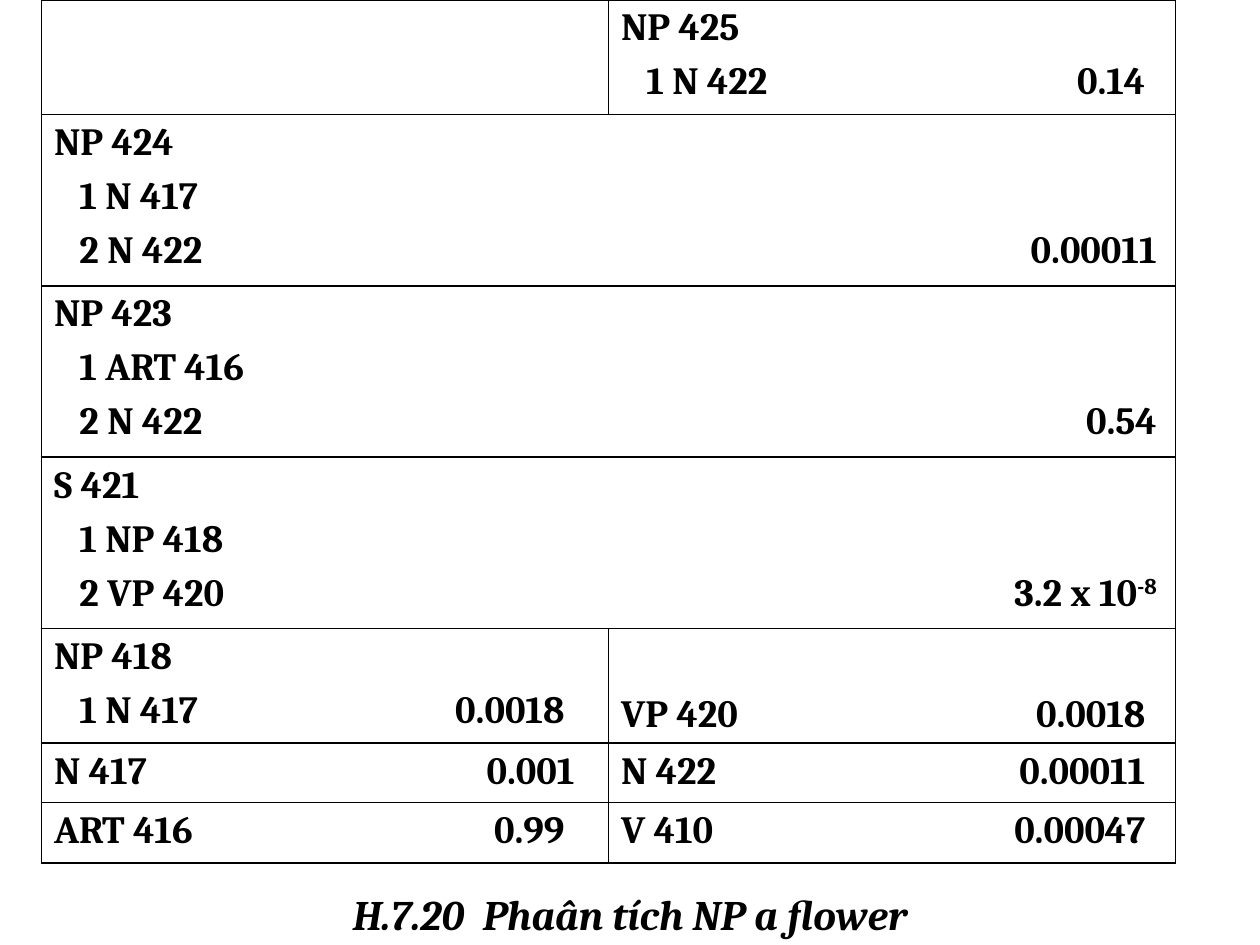
from lxml import etree
from pptx import Presentation
from pptx.dml.color import RGBColor
from pptx.enum.text import MSO_ANCHOR, PP_ALIGN
from pptx.oxml.ns import qn
from pptx.util import Inches, Pt

BOTTOM, TOP = MSO_ANCHOR.BOTTOM, MSO_ANCHOR.TOP
CENTER = PP_ALIGN.CENTER

COLUMNS = [4.5, 4.5]
ROWS = [0.91, 1.36, 1.36, 1.36, 0.91, 0.47, 0.48]
LEFT_TAB, RIGHT_TAB, FULL_TAB = 4.05, 4.16, 8.75

# (row, column, column span, value tab, lines); "^" starts a superscript
ENTRIES = [
    (0, 0, 1, LEFT_TAB, []),
    (0, 1, 1, RIGHT_TAB, ["NP 425", "\t1 N 422\t0.14"]),
    (1, 0, 2, FULL_TAB, ["NP 424", "\t1 N 417", "\t2 N 422\t0.00011"]),
    (2, 0, 2, FULL_TAB, ["NP 423", "\t1 ART 416", "\t2 N 422\t0.54"]),
    (3, 0, 2, FULL_TAB, ["S 421", "\t1 NP 418", "\t2 VP 420\t3.2 x 10^-8"]),
    (4, 0, 1, LEFT_TAB, ["NP 418", "\t1 N 417\t0.0018"]),
    (4, 1, 1, RIGHT_TAB, ["VP 420\t0.0018"]),
    (5, 0, 1, 4.13, ["N 417\t0.001"]),
    (5, 1, 1, RIGHT_TAB, ["N 422\t0.00011"]),
    (6, 0, 1, LEFT_TAB, ["ART 416\t0.99"]),
    (6, 1, 1, RIGHT_TAB, ["V 410\t0.00047"]),
]


def color(hex_string):
    return RGBColor.from_string(hex_string)


class ChartSlide:
    font_name = "Cambria"
    ink = "000000"
    body_size, caption_size = 22, 24
    outer_line, inner_line = 1.08, 0.45
    child_indent = 0.2

    def __init__(self, deck):
        self.slide = deck.slides.add_slide(deck.slide_layouts[6])
        self.width, self.height = deck.slide_width, deck.slide_height

    def style(self, paragraph, size, italic=None):
        font = paragraph.font
        font.name, font.size = self.font_name, Pt(size)
        font.bold, font.italic = True, italic
        font.color.rgb = color(self.ink)

    def tabs(self, paragraph, value_tab):
        """Set a left stop for child lines and a right stop for the values."""
        stops = etree.SubElement(paragraph._p.get_or_add_pPr(), qn("a:tabLst"))
        for position, align in ((self.child_indent, "l"), (value_tab, "r")):
            etree.SubElement(stops, qn("a:tab"), pos=str(Inches(position)), algn=align)

    def borders(self, cell, left, right):
        properties = cell._tc.get_or_add_tcPr()
        widths = {"L": left, "R": right, "T": self.outer_line, "B": self.outer_line}
        for side, width in widths.items():
            line = etree.SubElement(properties, qn(f"a:ln{side}"), w=str(Pt(width)))
            fill = etree.SubElement(line, qn("a:solidFill"))
            etree.SubElement(fill, qn("a:srgbClr"), val=self.ink)

    def entry(self, cell, lines, value_tab):
        cell.vertical_anchor = BOTTOM if lines == ["VP 420\t0.0018"] else TOP
        frame = cell.text_frame
        for number, line in enumerate(lines):
            paragraph = frame.add_paragraph() if number else frame.paragraphs[0]
            self.tabs(paragraph, value_tab)
            if number:
                paragraph.space_before = Pt(5.5)
            base, _, exponent = line.partition("^")
            paragraph.add_run().text = base
            if exponent:
                raised = paragraph.add_run()
                raised.text = exponent
                raised._r.get_or_add_rPr().set("baseline", "30000")
            self.style(paragraph, self.body_size)

    def parse_table(self, left, top, columns, rows, entries):
        table = self.slide.shapes.add_table(
            len(rows), len(columns), int(left * self.width), int(top * self.height),
            Inches(sum(columns)), Inches(sum(rows))).table
        table.first_row = table.horz_banding = False
        for column, width in zip(table.columns, columns):
            column.width = Inches(width)
        for row, height in zip(table.rows, rows):
            row.height = Inches(height)
        last = len(columns) - 1
        for row, column, span, value_tab, lines in entries:
            cell = table.cell(row, column)
            end = column + span - 1
            if span > 1:
                cell.merge(table.cell(row, end))
            for index in range(column, end + 1):
                part = table.cell(row, index)
                whole = span > 1
                self.borders(
                    part,
                    self.outer_line if whole or index == 0 else self.inner_line,
                    self.outer_line if whole or index == last else self.inner_line)
                part.fill.background()
            self.entry(cell, lines, value_tab)

    def caption(self, text, top, height):
        box = self.slide.shapes.add_textbox(
            0, int(top * self.height), self.width, int(height * self.height))
        box.text_frame.word_wrap = True
        paragraph = box.text_frame.paragraphs[0]
        paragraph.text, paragraph.alignment = text, CENTER
        self.style(paragraph, self.caption_size, italic=True)


def main():
    deck = Presentation()
    deck.slide_width, deck.slide_height = Inches(10), Inches(7.5)
    chart = ChartSlide(deck)
    chart.parse_table(0.033, 0, COLUMNS, ROWS, ENTRIES)
    chart.caption("H.7.20  Phaân tích NP a flower", 14 / 15, 1 / 15)
    deck.save("out.pptx")


if __name__ == "__main__":
    main()
